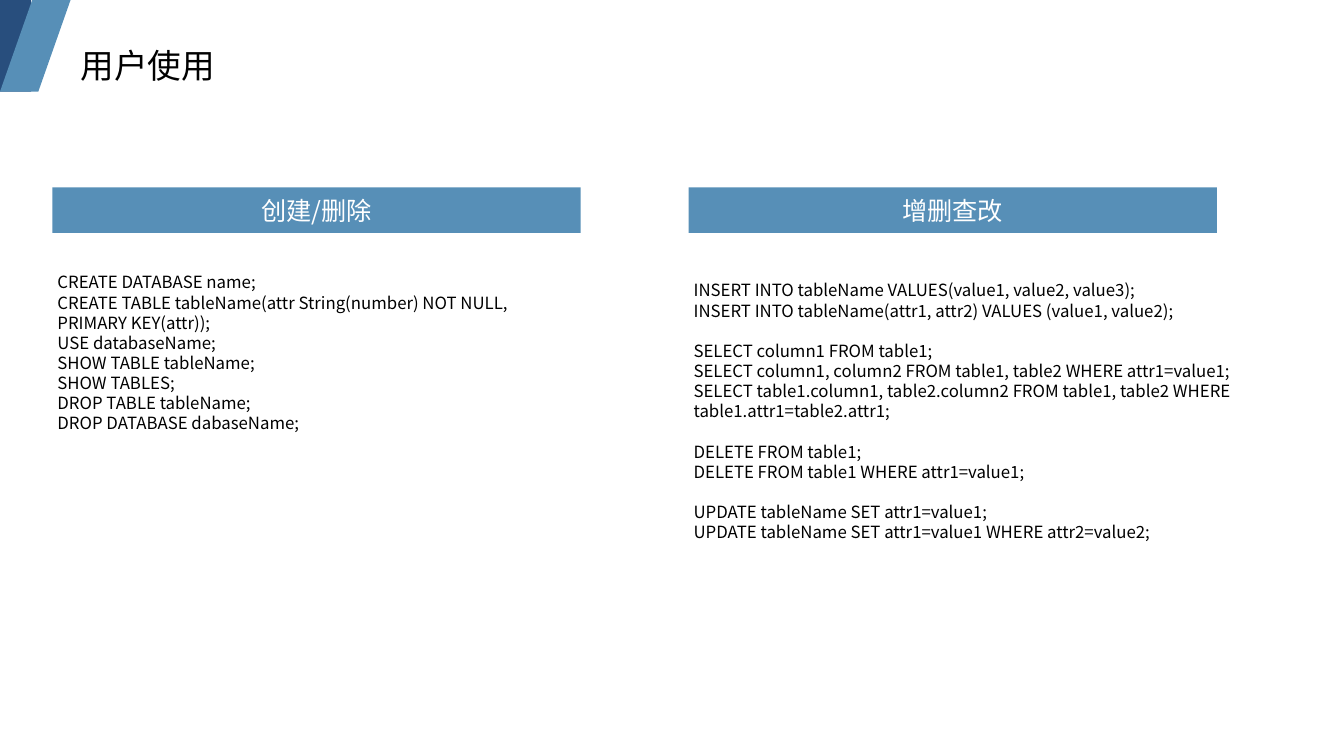
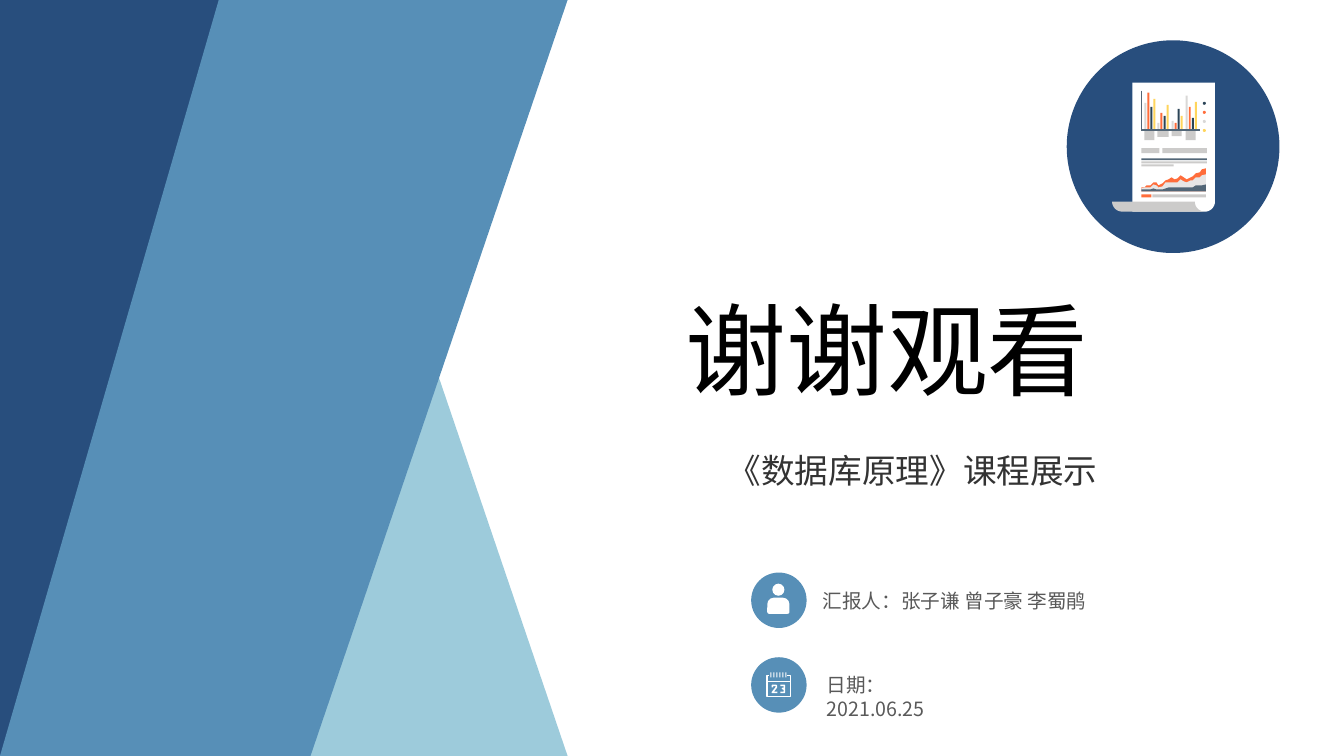
from math import cos, radians, sin

from lxml import etree
from pptx import Presentation
from pptx.dml.color import RGBColor
from pptx.enum.shapes import MSO_CONNECTOR, MSO_SHAPE as SHAPE
from pptx.enum.text import MSO_ANCHOR, MSO_AUTO_SIZE, PP_ALIGN
from pptx.oxml.ns import qn
from pptx.util import Inches, Pt

FONT = "Noto Sans CJK SC"
NAVY = RGBColor(0x28, 0x4E, 0x7D)
BLUE = RGBColor(0x57, 0x8F, 0xB7)
PALE_BLUE = RGBColor(0x9D, 0xCB, 0xDB)
WHITE = RGBColor(0xFF, 0xFF, 0xFF)
BLACK = RGBColor(0, 0, 0)
DARK_GRAY = RGBColor(0x33, 0x33, 0x33)
GRAY = RGBColor(0x59, 0x59, 0x59)
SILVER = RGBColor(0xCC, 0xCB, 0xCA)
LIGHT_GRAY = RGBColor(0xD9, 0xD8, 0xD7)
AREA_GRAY = RGBColor(0xE6, 0xE5, 0xE5)
ORANGE = RGBColor(0xFF, 0x6D, 0x3B)
YELLOW = RGBColor(0xFF, 0xD5, 0x5C)
SLATE = RGBColor(0x52, 0x66, 0x77)
INK = RGBColor(0x2B, 0x44, 0x57)
SERIES_COLORS = (LIGHT_GRAY, ORANGE, INK, YELLOW)

CREATE_DROP = [[
    "CREATE DATABASE name;",
    "CREATE TABLE tableName(attr String(number) NOT NULL, PRIMARY KEY(attr));",
    "USE databaseName;",
    "SHOW TABLE tableName;",
    "SHOW TABLES;",
    "DROP TABLE tableName;",
    "DROP DATABASE dabaseName;",
]]
QUERY_UPDATE = [
    ["INSERT INTO tableName VALUES(value1, value2, value3);",
     "INSERT INTO tableName(attr1, attr2) VALUES (value1, value2);"],
    ["SELECT column1 FROM table1;",
     "SELECT column1, column2 FROM table1, table2 WHERE attr1=value1;",
     "SELECT table1.column1, table2.column2 FROM table1, table2 WHERE table1.attr1=table2.attr1;"],
    ["DELETE FROM table1;",
     "DELETE FROM table1 WHERE attr1=value1;"],
    ["UPDATE tableName SET attr1=value1;",
     "UPDATE tableName SET attr1=value1 WHERE attr2=value2;"],
]


def paint(shape, color):
    shape.shadow.inherit = False
    shape.fill.solid()
    shape.fill.fore_color.rgb = color
    shape.line.fill.background()
    return shape


def add_block(slide, kind, left, top, width, height, color):
    box = (Inches(length) for length in (left, top, width, height))
    return paint(slide.shapes.add_shape(kind, *box), color)


def build_outline(slide, points, close):
    start, *rest = [(Inches(x), Inches(y)) for x, y in points]
    builder = slide.shapes.build_freeform(*start, scale=1.0)
    builder.add_line_segments(rest, close=close)
    return builder.convert_to_shape()


def add_polygon(slide, points, color):
    return paint(build_outline(slide, points, True), color)


def add_stroke(slide, points, color, weight):
    """Draw an open, unfilled line through the points."""
    shape = build_outline(slide, points, False)
    shape.shadow.inherit = False
    shape.fill.background()
    shape.line.color.rgb = color
    shape.line.width = Pt(weight)
    return shape


def add_line(slide, start, end, color, weight):
    ends = (Inches(length) for length in (*start, *end))
    line = slide.shapes.add_connector(MSO_CONNECTOR.STRAIGHT, *ends)
    line.line.color.rgb = color
    line.line.width = Pt(weight)
    etree.SubElement(line._element.spPr, qn("a:effectLst"))
    return line


def arc(center_x, center_y, radius, first, last, steps=8):
    """Return points on a circle between two angles in degrees."""
    angles = [radians(first + (last - first) * i / steps) for i in range(steps + 1)]
    return [(center_x + radius * cos(a), center_y + radius * sin(a)) for a in angles]


def format_paragraph(paragraph, size, color):
    for run in paragraph.runs:
        run.font.size = Pt(size)
        run.font.name = FONT
        run.font.color.rgb = color
        east_asian = etree.SubElement(run._r.get_or_add_rPr(), qn("a:ea"))
        east_asian.set("typeface", FONT)


def set_insets(text_frame, horizontal, vertical):
    text_frame.margin_left = text_frame.margin_right = Inches(horizontal)
    text_frame.margin_top = text_frame.margin_bottom = Inches(vertical)


def add_text(slide, text, box, size, color, inset=0.1, wrap=False):
    shape = slide.shapes.add_textbox(*(Inches(length) for length in box))
    text_frame = shape.text_frame
    text_frame.text = text
    text_frame.word_wrap = wrap
    text_frame.auto_size = MSO_AUTO_SIZE.SHAPE_TO_FIT_TEXT
    set_insets(text_frame, inset, 0.05)
    for paragraph in text_frame.paragraphs:
        format_paragraph(paragraph, size, color)
    return shape


def add_slanted_bands(slide, dark_width, height, top_left, top_right, bottom_right):
    add_block(slide, SHAPE.RECTANGLE, 0, 0, dark_width, height, NAVY)
    add_polygon(slide, [(0, height), (top_left, 0), (top_right, 0),
                        (bottom_right, height)], BLUE)


def add_heading_bar(slide, text, left):
    bar = add_block(slide, SHAPE.RECTANGLE, left, 1.86, 5.24, 0.45, BLUE)
    text_frame = bar.text_frame
    text_frame.text = text
    text_frame.vertical_anchor = MSO_ANCHOR.MIDDLE
    set_insets(text_frame, 0, 0)
    paragraph = text_frame.paragraphs[0]
    paragraph.alignment = PP_ALIGN.CENTER
    format_paragraph(paragraph, 18, WHITE)


def add_statements(slide, groups, box):
    """List SQL statements with a line of space between groups."""
    text = "\n".join(statement for group in groups for statement in group)
    shape = add_text(slide, text, box, 12, BLACK, inset=0.05, wrap=True)
    position = 0
    for group in groups[:-1]:
        position += len(group)
        shape.text_frame.paragraphs[position].space_before = Pt(14.4)


def draw_bar_chart(slide):
    baseline = 1.29
    lefts = (11.35, 11.48, 11.62, 11.76)
    labels = ((0.1, 0.09), (0.11, 0.06), (0.1, 0.05), (0.1, 0.09))
    heights = ((0.27, 0.37, 0.23, 0.31), (0.07, 0.17, 0.14, 0.25),
               (0.09, 0.07, 0.21, 0.14), (0.34, 0.23, 0.12, 0.28))
    parts = []
    for left, label, bars in zip(lefts, labels, heights):
        parts.append(add_block(slide, SHAPE.RECTANGLE, left, 1.3, *label, SILVER))
        for i, (height, color) in enumerate(zip(bars, SERIES_COLORS)):
            parts.append(add_block(slide, SHAPE.RECTANGLE, left + 0.03 * i,
                                   baseline - height, 0.02, height, color))
    for i, color in enumerate((INK, ORANGE, LIGHT_GRAY, YELLOW)):
        parts.append(add_block(slide, SHAPE.OVAL, 11.93, 1.01 + 0.09 * i,
                               0.03, 0.03, color))
    parts.append(add_line(slide, (11.32, 0.9), (11.32, 1.29), SLATE, 0.1))
    parts.append(add_line(slide, (11.32, 1.29), (11.9, 1.29), SLATE, 0.75))
    return parts


def draw_area_chart(slide):
    xs = (11.32, 11.35, 11.37, 11.41, 11.44, 11.47, 11.49, 11.53, 11.56, 11.59, 11.62,
          11.65, 11.68, 11.71, 11.74, 11.77, 11.81, 11.83, 11.86, 11.9, 11.92, 11.96)
    areas = (
        (ORANGE, (1.86, 1.86, 1.84, 1.84, 1.81, 1.81, 1.84, 1.82, 1.79, 1.78, 1.76,
                  1.78, 1.77, 1.74, 1.76, 1.78, 1.76, 1.75, 1.72, 1.71, 1.68, 1.67)),
        (AREA_GRAY, (1.87, 1.86, 1.86, 1.86, 1.83, 1.84, 1.86, 1.85, 1.81, 1.81, 1.81,
                     1.81, 1.81, 1.78, 1.8, 1.81, 1.79, 1.79, 1.76, 1.76, 1.74, 1.73)),
        (SLATE, (1.88, 1.88, 1.88, 1.88, 1.87, 1.88, 1.88, 1.88, 1.87, 1.86, 1.86,
                 1.86, 1.86, 1.86, 1.86, 1.86, 1.86, 1.86, 1.84, 1.84, 1.84, 1.83)),
    )
    return [add_polygon(slide, [*zip(xs, ys), (11.96, 1.9), (11.32, 1.9)], color)
            for color, ys in areas]


def draw_report(slide):
    add_block(slide, SHAPE.OVAL, 10.58, 0.4, 2.11, 2.11, NAVY)
    page = [(11.23, 0.82), (12.05, 0.82), *arc(11.95, 2, 0.1, 0, 90), (11.23, 2.1)]
    curl = [*arc(11.95, 2, 0.1, 180, 90), *arc(11.13, 2, 0.1, 90, 180)]
    text_lines = (
        (11.32, 1.47, 0.18, 0.05, SILVER), (11.53, 1.47, 0.44, 0.05, SILVER),
        (11.32, 1.57, 0.65, 0.02, SLATE), (11.32, 1.6, 0.65, 0.02, SILVER),
        (11.32, 1.63, 0.32, 0.02, SILVER),
        (11.32, 1.93, 0.1, 0.03, ORANGE), (11.43, 1.93, 0.53, 0.03, SILVER),
    )
    parts = [add_polygon(slide, page, WHITE), add_polygon(slide, curl, SILVER)]
    parts += [add_block(slide, SHAPE.RECTANGLE, *line) for line in text_lines]
    parts += draw_bar_chart(slide) + draw_area_chart(slide)
    slide.shapes.add_group_shape(parts)


def draw_person(slide):
    head = add_block(slide, SHAPE.OVAL, 7.66, 5.79, 0.12, 0.12, WHITE)
    body = add_block(slide, SHAPE.ROUND_2_SAME_RECTANGLE, 7.61, 5.93, 0.22, 0.16, WHITE)
    body.adjustments[0] = 0.4
    body.adjustments[1] = 0.12
    return [head, body]


def draw_calendar(slide):
    frame = [(7.63, 6.7), (7.61, 6.7), (7.61, 6.91), (7.84, 6.91), (7.84, 6.7), (7.81, 6.7)]
    two = [(7.66, 6.82), (7.66, 6.8), (7.7, 6.8), (7.7, 6.82), (7.66, 6.87), (7.71, 6.87)]
    three = [(7.74, 6.8), (7.78, 6.8), (7.78, 6.83), (7.76, 6.83),
             (7.78, 6.84), (7.78, 6.87), (7.74, 6.87)]
    parts = [add_stroke(slide, points, WHITE, 1.1) for points in (frame, two, three)]
    parts.append(add_line(slide, (7.61, 6.76), (7.84, 6.76), WHITE, 1.1))
    parts += [add_block(slide, SHAPE.RECTANGLE, 7.64 + 0.03 * i, 6.67, 0.01, 0.05, WHITE)
              for i in range(6)]
    return parts


def add_detail(slide, text, top, text_left, text_width, draw_icon):
    """Add a round icon with its line of text."""
    disc = add_block(slide, SHAPE.OVAL, 7.45, top, 0.55, 0.55, BLUE)
    label = add_text(slide, text, (text_left, top + 0.11, text_width, 0.34),
                     14, GRAY, wrap=True)
    slide.shapes.add_group_shape([disc, label, *draw_icon(slide)])


def build_usage_slide(slide):
    add_slanted_bands(slide, 0.31, 0.91, 0.32, 0.7, 0.38)
    add_text(slide, "用户使用", (0.75, 0.4, 1.45, 0.56), 24, BLACK, inset=0.05)
    add_heading_bar(slide, "创建/删除", 0.52)
    add_heading_bar(slide, "增删查改", 6.83)
    add_statements(slide, CREATE_DROP, (0.52, 2.65, 4.97, 1.92))
    add_statements(slide, QUERY_UPDATE, (6.83, 2.73, 6.43, 2.73))


def build_closing_slide(slide):
    add_polygon(slide, [(2.17, 7.5), (5.63, 7.5), (3.08, 0), (2.17, 0)], PALE_BLUE)
    add_slanted_bands(slide, 2.41, 7.5, 2.17, 5.63, 3.08)
    draw_report(slide)
    add_text(slide, "谢谢观看", (6.7, 2.81, 4.2, 1.31), 72, BLACK)
    add_text(slide, "《数据库原理》课程展示", (7.12, 4.41, 3.87, 0.5), 24, DARK_GRAY)
    add_detail(slide, "汇报人：张子谦 曾子豪 李蜀鹃", 5.68, 8.06, 2.83, draw_person)
    add_detail(slide, "日期： 2021.06.25", 6.52, 8.1, 1.74, draw_calendar)


def main():
    presentation = Presentation()
    presentation.slide_width = Inches(13.33)
    presentation.slide_height = Inches(7.5)
    blank = presentation.slide_layouts[6]
    for build in (build_usage_slide, build_closing_slide):
        build(presentation.slides.add_slide(blank))
    presentation.save("out.pptx")


if __name__ == "__main__":
    main()
